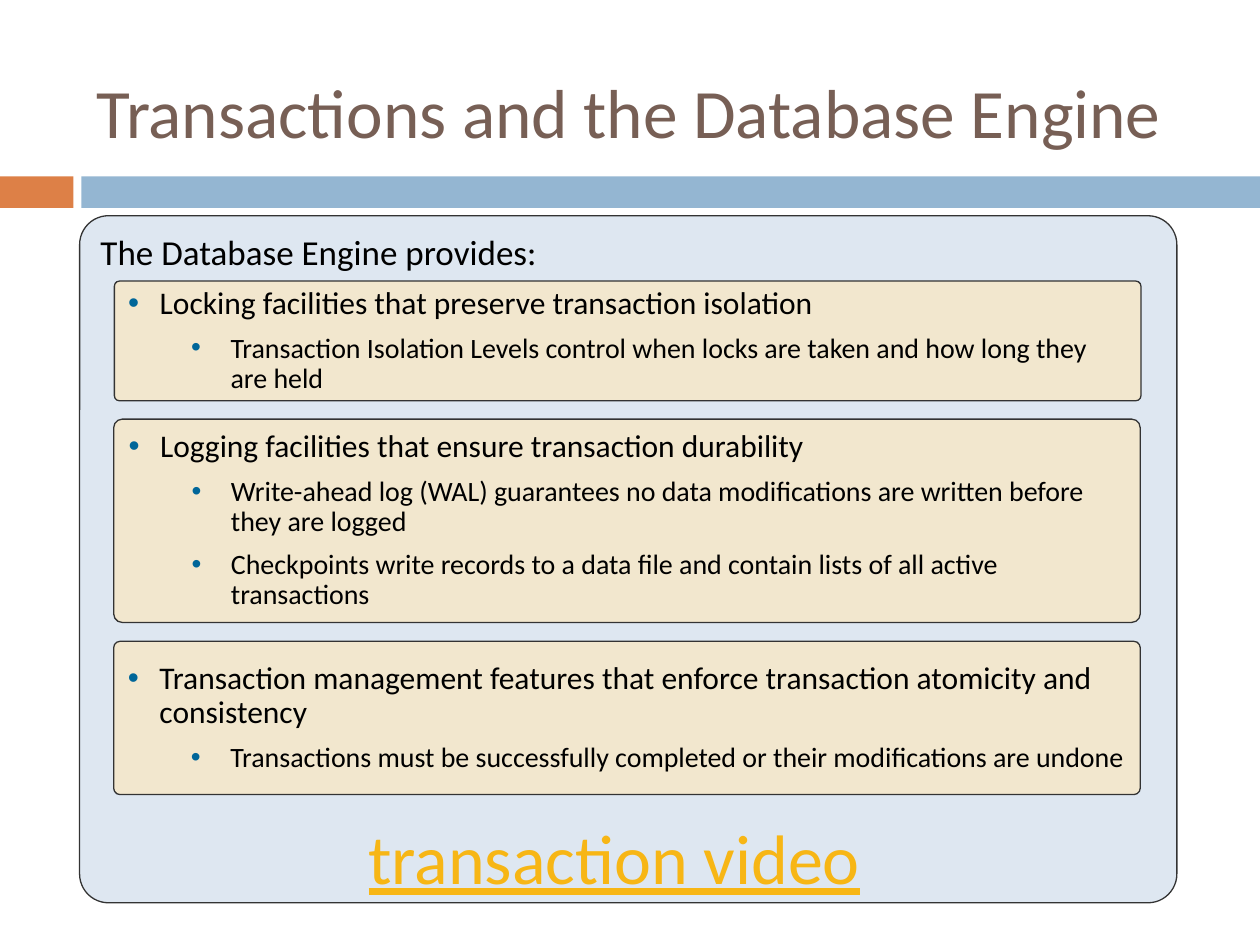
from lxml import etree
from pptx import Presentation
from pptx.dml.color import RGBColor
from pptx.enum.shapes import MSO_SHAPE
from pptx.enum.text import MSO_ANCHOR, MSO_AUTO_SIZE, PP_ALIGN
from pptx.oxml.ns import qn
from pptx.util import Pt

RECT, ROUNDED = MSO_SHAPE.RECTANGLE, MSO_SHAPE.ROUNDED_RECTANGLE
TOP, MIDDLE = MSO_ANCHOR.TOP, MSO_ANCHOR.MIDDLE
LEFT, CENTER = PP_ALIGN.LEFT, PP_ALIGN.CENTER
NO_FIT = MSO_AUTO_SIZE.NONE

COLORS = {
    "title": "775F55", "accent": "DD8047", "band": "94B6D2",
    "panel": "DEE7F1", "card": "F2E7CE", "line": "333333",
    "text": "000000", "bullet": "006699", "link": "F7B615",
}
# Per bullet level: font size, left margin, first-line indent
LEVELS = [(18, 18, -18), (16, 58.5, -22.5)]

# Per card: left, top, height, (level, text) items
CARDS = [
    (65.4, 160.6, 68.4, [
        (0, "Locking facilities that preserve transaction isolation"),
        (1, "Transaction Isolation Levels control when locks are taken "
            "and how long they are held"),
    ]),
    (65, 239.5, 116.2, [
        (0, "Logging facilities that ensure transaction durability"),
        (1, "Write-ahead log (WAL) guarantees no data modifications are "
            "written before they are logged"),
        (1, "Checkpoints write records to a data file and contain lists "
            "of all active transactions"),
    ]),
    (65, 366.5, 87.6, [
        (0, "Transaction management features that enforce transaction "
            "atomicity and consistency"),
        (1, "Transactions must be successfully completed or their "
            "modifications are undone"),
    ]),
]


class SlideBuilder:
    """Draws styled elements on one slide; all lengths are in points."""

    def __init__(self, slide, font="Calibri"):
        self.slide = slide
        self.font = font

    def color(self, name):
        return RGBColor.from_string(COLORS[name])

    def style(self, p, size, color="text", align=LEFT):
        p.alignment = align
        p.font.name = self.font
        p.font.size = Pt(size)
        p.font.color.rgb = self.color(color)

    def title(self, text, box, size):
        sp = self.slide.shapes.title
        sp.left, sp.top, sp.width, sp.height = map(Pt, box)
        tf = sp.text_frame
        tf.text = text
        tf.auto_size = NO_FIT
        tf.vertical_anchor = MIDDLE
        self.style(tf.paragraphs[0], size, "title")

    def bar(self, box, fill):
        sp = self.slide.shapes.add_shape(RECT, *map(Pt, box))
        sp.shadow.inherit = False
        sp.fill.solid()
        sp.fill.fore_color.rgb = self.color(fill)
        sp.line.fill.background()

    def panel(self, box, fill, anchor):
        """Add an outlined rounded box and return its text frame."""
        sp = self.slide.shapes.add_shape(ROUNDED, *map(Pt, box))
        sp.adjustments[0] = 0.042
        sp.shadow.inherit = False
        sp.fill.solid()
        sp.fill.fore_color.rgb = self.color(fill)
        sp.line.color.rgb = self.color("line")
        sp.line.width = Pt(0.75)
        tf = sp.text_frame
        tf.word_wrap = True
        tf.vertical_anchor = anchor
        return tf

    def heading_panel(self, text, box, size):
        p = self.panel(box, "panel", TOP).paragraphs[0]
        p.text = text
        self.style(p, size)

    def card(self, box, items):
        tf = self.panel(box, "card", MIDDLE)
        for i, (level, text) in enumerate(items):
            p = tf.add_paragraph() if i else tf.paragraphs[0]
            p.text = text
            self.bullet(p, level)

    def bullet(self, p, level):
        size, margin, indent = LEVELS[level]
        self.style(p, size)
        p.level = level
        p.line_spacing = 0.9
        p.space_before = Pt(0.45 * size)
        pPr = p._p.get_or_add_pPr()
        pPr.set("marL", str(Pt(margin)))
        pPr.set("indent", str(Pt(indent)))
        # Bullet elements must come before the default run properties
        bu_clr = etree.Element(qn("a:buClr"))
        etree.SubElement(bu_clr, qn("a:srgbClr"), val=COLORS["bullet"])
        bu_font = etree.Element(qn("a:buFont"), typeface="Arial")
        bu_char = etree.Element(qn("a:buChar"), char="•")
        def_rpr = pPr.find(qn("a:defRPr"))
        for el in (bu_clr, bu_font, bu_char):
            def_rpr.addprevious(el)

    def link_text(self, text, box, size):
        tf = self.slide.shapes.add_textbox(*map(Pt, box)).text_frame
        tf.word_wrap = True
        p = tf.paragraphs[0]
        p.text = text
        self.style(p, size, "link", CENTER)
        p.font.underline = True


def main():
    prs = Presentation()
    prs.slide_width, prs.slide_height = Pt(720), Pt(540)
    s = SlideBuilder(prs.slides.add_slide(prs.slide_layouts[5]))

    s.bar((0, 100.8, 42, 18), "accent")
    s.bar((46.5, 100.8, 673.5, 18), "band")
    s.title("Transactions and the Database Engine", (48, 24, 642, 78), 39.6)
    s.heading_panel("The Database Engine provides:",
                    (45.5, 123.3, 627, 392.6), 20)
    for left, top, height, items in CARDS:
        s.card((left, top, 586.6, height), items)
    s.link_text("transaction video", (186, 462, 330, 55.7), 40)

    prs.save("out.pptx")


if __name__ == "__main__":
    main()
